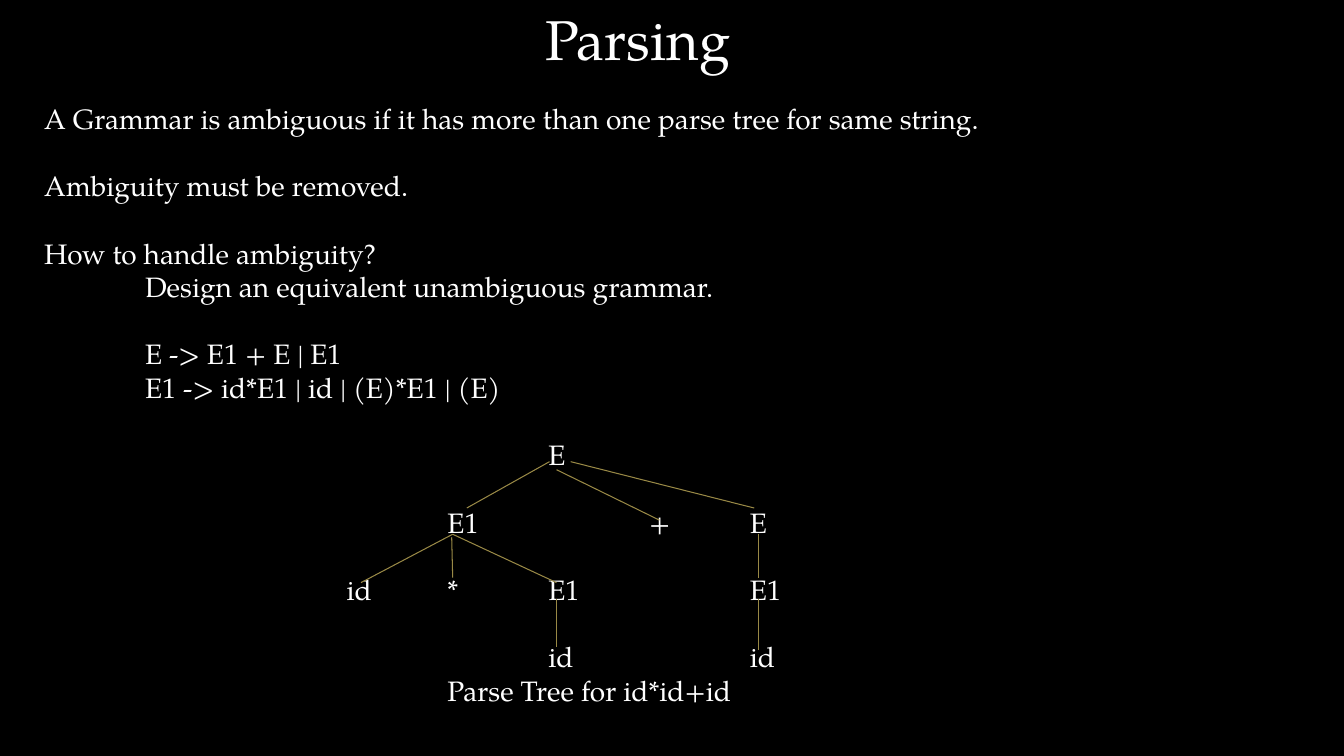
from dataclasses import dataclass

from lxml import etree
from pptx import Presentation
from pptx import util as u
from pptx.dml.color import RGBColor
from pptx.enum import shapes, text
from pptx.oxml import ns

BLACK = RGBColor(0x00, 0x00, 0x00)
WHITE = RGBColor(0xFF, 0xFF, 0xFF)
GOLD = RGBColor(0x99, 0x89, 0x46)
FACE = "TeX Gyre Pagella"
LEAD = u.Pt(24)  # height of one line of body text


@dataclass
class Row:
    words: str
    skip: int = 0  # lines left free above


@dataclass
class Box:
    left: float
    top: float
    width: float
    height: float
    size: int
    align: text.PP_ALIGN
    rows: list[Row]


@dataclass
class Edge:
    x1: float
    y1: float
    x2: float
    y2: float


TITLE = Box(5.31, 0, 2.16, 0.77, 40, text.PP_ALIGN.LEFT, [Row("Parsing")])
BODY = Box(0.34, 0.96, 12.33, 6.16, 20, text.PP_ALIGN.JUSTIFY, [
    Row("A Grammar is ambiguous if it has more than one parse tree for same string."),
    Row("Ambiguity must be removed.", 1),
    Row("How to handle ambiguity?", 1),
    Row("\tDesign an equivalent unambiguous grammar."),
    Row("\tE -> E1 + E | E1", 1),
    Row("\tE1 -> id*E1 | id | (E)*E1 | (E)"),
    # Levels of the parse tree, one tab per inch
    Row("\t\t\t\t\tE", 1),
    Row("\t\t\t\tE1\t\t+\tE", 1),
    Row("\t\t\tid\t*\tE1\t\tE1", 1),
    Row("\t\t\t\t\tid\t\tid", 1),
    Row("\t\t\t\tParse Tree for id*id+id"),
])
EDGES = [
    # Root to its children
    Edge(5.45, 4.58, 4.63, 5.04),
    Edge(5.52, 4.66, 6.54, 5.16),
    Edge(5.66, 4.58, 7.48, 5.04),
    # Second level to third
    Edge(4.49, 5.3, 3.58, 5.78),
    Edge(4.48, 5.33, 4.49, 5.73),
    Edge(4.49, 5.3, 5.52, 5.78),
    Edge(7.52, 5.3, 7.52, 5.73),
    # Third level to leaves
    Edge(5.52, 5.94, 5.52, 6.42),
    Edge(7.52, 5.94, 7.52, 6.45),
]


def apply(target: object, values: dict) -> None:
    for key, value in values.items():
        setattr(target, key, value)


def add_tabs(para, count: int) -> None:
    """Set a left tab stop at every inch."""
    stops = etree.SubElement(para._p.get_or_add_pPr(), ns.qn("a:tabLst"))
    for inch in range(1, count + 1):
        etree.SubElement(stops, ns.qn("a:tab"),
                         pos=str(u.Inches(inch)), algn="l")


def write(slide, box: Box) -> None:
    area = (box.left, box.top, box.width, box.height)
    frame = slide.shapes.add_textbox(*map(u.Inches, area)).text_frame
    apply(frame, {"word_wrap": True,
                  "auto_size": text.MSO_AUTO_SIZE.SHAPE_TO_FIT_TEXT})
    for i, row in enumerate(box.rows):
        para = frame.add_paragraph() if i else frame.paragraphs[0]
        if "\t" in row.words:
            add_tabs(para, row.words.count("\t"))
        para.alignment = box.align
        if row.skip:
            para.space_before = row.skip * LEAD
        run = para.add_run()
        run.text = row.words
        apply(run.font, {"name": FACE, "size": u.Pt(box.size)})
        run.font.color.rgb = WHITE


def draw(slide, edge: Edge) -> None:
    ends = (edge.x1, edge.y1, edge.x2, edge.y2)
    line = slide.shapes.add_connector(
        shapes.MSO_CONNECTOR.STRAIGHT, *map(u.Inches, ends))
    line.line.width = u.Pt(0.75)
    line.line.color.rgb = GOLD
    etree.SubElement(line._element.spPr, ns.qn("a:effectLst"))


def main() -> None:
    deck = Presentation()
    apply(deck, {"slide_width": u.Inches(13.33), "slide_height": u.Inches(7.5)})
    slide = deck.slides.add_slide(deck.slide_layouts[6])

    # Black ground
    fill = slide.background.fill
    fill.solid()
    fill.fore_color.rgb = BLACK

    # Words, then the edges of the tree
    for box in (BODY, TITLE):
        write(slide, box)
    for edge in EDGES:
        draw(slide, edge)
    deck.save("out.pptx")


if __name__ == "__main__":
    main()
